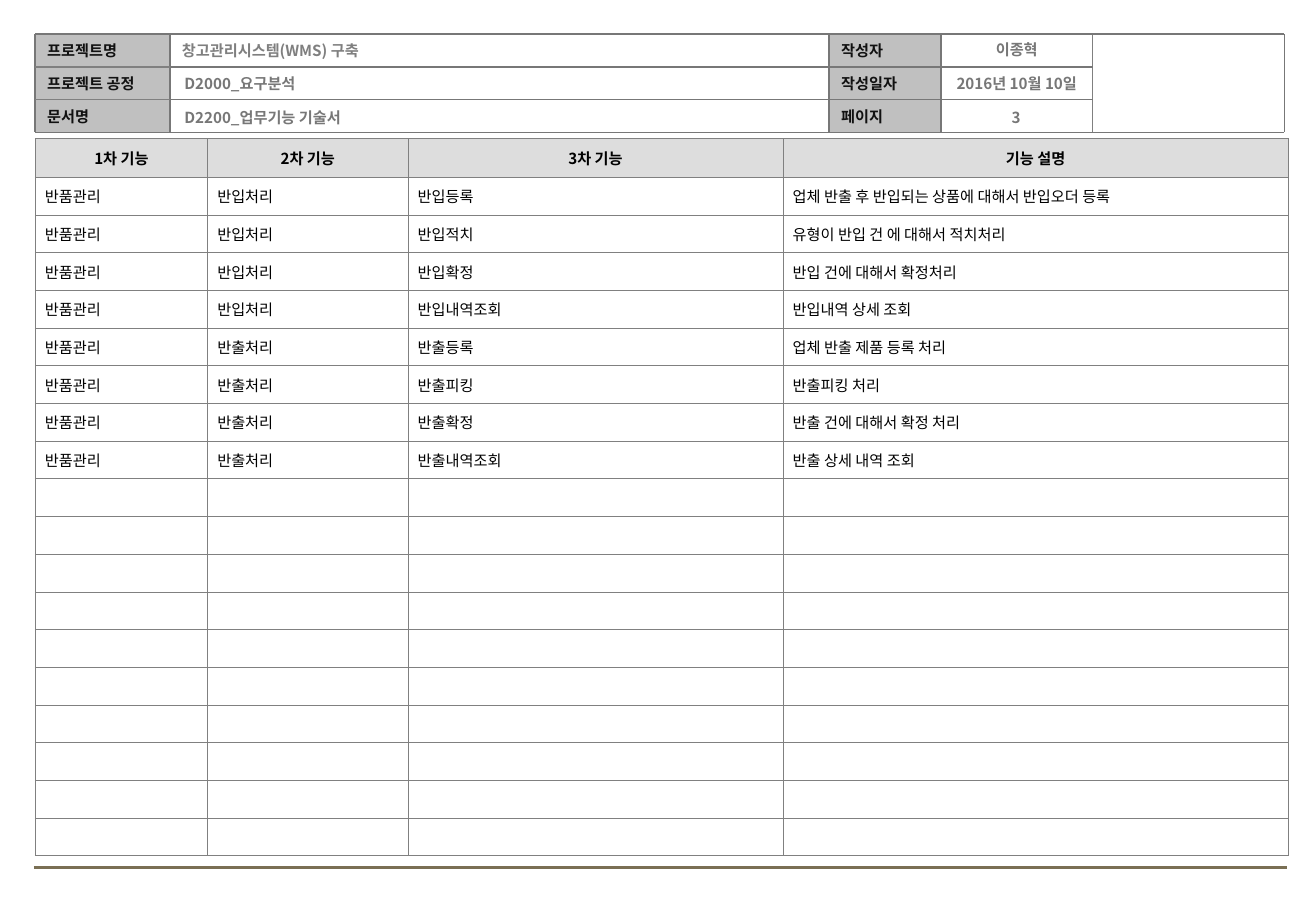
from dataclasses import dataclass

import pptx
import pptx.dml.color
import pptx.enum.shapes
import pptx.enum.text
import pptx.oxml.ns
import pptx.util
from lxml import etree

Inches = pptx.util.Inches
Pt = pptx.util.Pt
RGBColor = pptx.dml.color.RGBColor
Align = pptx.enum.text.PP_ALIGN
Anchor = pptx.enum.text.MSO_ANCHOR
qn = pptx.oxml.ns.qn

FONT = "Noto Sans CJK KR"
FONT_SIZE = 9
BLACK = RGBColor(0x00, 0x00, 0x00)
LABEL_TEXT = RGBColor(0x11, 0x11, 0x11)
LABEL_FILL = RGBColor(0xC0, 0xC0, 0xC0)
NAME_TEXT = RGBColor(0x7F, 0x7F, 0x7F)
RULE_GRAY = RGBColor(0x77, 0x77, 0x77)
BORDER_GRAY = RGBColor(0x80, 0x80, 0x80)
HEADER_FILL = RGBColor(0xDD, 0xDD, 0xDD)
FOOTER_BROWN = RGBColor(0x7A, 0x6F, 0x54)

# Edges of the title block
LEFT, NAME_LEFT, INFO_LEFT, INFO_VALUE_LEFT, LOGO_LEFT, RIGHT = 0.29, 1.4, 6.83, 7.75, 9, 10.58
BLOCK_TOP, BLOCK_ROW = 0.28, 0.27
BLOCK_EDGES = [BLOCK_TOP + BLOCK_ROW * i for i in range(4)]
BLOCK_LABELS = [("프로젝트명", "작성자"), ("프로젝트 공정", "작성일자"), ("문서명", "페이지")]

TABLE_TOP, TABLE_HEIGHT, HEADER_HEIGHT = 1.14, 5.91, 0.32
COLUMN_WIDTHS = [1.42, 1.65, 3.09, 4.16]
BODY_ROWS = 18
HEADINGS = ("1차 기능", "2차 기능", "3차 기능", "기능 설명")
FUNCTIONS = [
    ("반입처리", "반입등록", "업체 반출 후 반입되는 상품에 대해서 반입오더 등록"),
    ("반입처리", "반입적치", "유형이 반입 건 에 대해서 적치처리"),
    ("반입처리", "반입확정", "반입 건에 대해서 확정처리"),
    ("반입처리", "반입내역조회", "반입내역 상세 조회"),
    ("반출처리", "반출등록", "업체 반출 제품 등록 처리"),
    ("반출처리", "반출피킹", "반출피킹 처리"),
    ("반출처리", "반출확정", "반출 건에 대해서 확정 처리"),
    ("반출처리", "반출내역조회", "반출 상세 내역 조회"),
]


@dataclass(frozen=True)
class Rule:
    x1: float
    y1: float
    x2: float
    y2: float
    color: RGBColor = RULE_GRAY
    width: float = 1


@dataclass(frozen=True)
class Value:
    text: str
    left: float
    top: float
    width: float
    height: float = 0.25
    color: RGBColor = RULE_GRAY
    align: Align = Align.LEFT
    anchor: Anchor = Anchor.TOP


VALUES = [
    Value("창고관리시스템(WMS) 구축", NAME_LEFT, BLOCK_TOP, INFO_LEFT - NAME_LEFT, BLOCK_ROW,
          color=NAME_TEXT, anchor=Anchor.MIDDLE),
    Value("D2000_요구분석", 1.42, 0.56, 4.8),
    Value("D2200_업무기능 기술서", 1.42, 0.84, 4.8),
    Value("이종혁", 7.59, 0.28, 1.57, align=Align.CENTER),
    Value("2016년 10월 10일", 7.59, 0.56, 1.57, align=Align.CENTER),
    Value("3", 7.78, 0.84, 1.18, 0.27, align=Align.CENTER),
]


def write_text(frame: pptx.text.text.TextFrame, text: str, *, color: RGBColor = BLACK,
               bold: bool = False, align: Align = Align.LEFT) -> None:
    paragraph = frame.paragraphs[0]
    paragraph.alignment = align
    if not text:
        etree.SubElement(paragraph._p, qn("a:endParaRPr"), sz=str(FONT_SIZE * 100))
        return
    run = paragraph.add_run()
    run.text = text
    run.font.name = FONT
    run.font.size = Pt(FONT_SIZE)
    run.font.bold = bold
    run.font.color.rgb = color
    etree.SubElement(run.font._element, qn("a:ea"), typeface=FONT)


def draw_rule(slide: pptx.slide.Slide, rule: Rule) -> None:
    line = slide.shapes.add_connector(
        pptx.enum.shapes.MSO_CONNECTOR.STRAIGHT,
        Inches(rule.x1), Inches(rule.y1), Inches(rule.x2), Inches(rule.y2))
    line.line.color.rgb = rule.color
    line.line.width = Pt(rule.width)
    etree.SubElement(line._element.spPr, qn("a:effectLst"))


def draw_label(slide: pptx.slide.Slide, text: str, left: float, top: float, width: float) -> None:
    label = slide.shapes.add_shape(
        pptx.enum.shapes.MSO_SHAPE.RECTANGLE,
        Inches(left), Inches(top), Inches(width), Inches(BLOCK_ROW))
    label.shadow.inherit = False
    label.fill.solid()
    label.fill.fore_color.rgb = LABEL_FILL
    label.line.fill.background()
    label.text_frame.vertical_anchor = Anchor.MIDDLE
    write_text(label.text_frame, text, color=LABEL_TEXT, bold=True)


def draw_value(slide: pptx.slide.Slide, value: Value) -> None:
    box = slide.shapes.add_textbox(
        Inches(value.left), Inches(value.top), Inches(value.width), Inches(value.height))
    box.text_frame.word_wrap = True
    box.text_frame.vertical_anchor = value.anchor
    write_text(box.text_frame, value.text, color=value.color, bold=True, align=value.align)


def draw_title_block(slide: pptx.slide.Slide) -> None:
    for top, (document_label, info_label) in zip(BLOCK_EDGES, BLOCK_LABELS):
        draw_label(slide, document_label, LEFT, top, NAME_LEFT - LEFT)
        draw_label(slide, info_label, INFO_LEFT, top, INFO_VALUE_LEFT - INFO_LEFT)
    top, *inner_edges, bottom = BLOCK_EDGES
    for x in (NAME_LEFT, INFO_LEFT, INFO_VALUE_LEFT, LOGO_LEFT, LEFT, RIGHT):
        draw_rule(slide, Rule(x, top, x, bottom, BORDER_GRAY if x == LOGO_LEFT else RULE_GRAY))
    for y in inner_edges:
        draw_rule(slide, Rule(LEFT, y, NAME_LEFT, y, BORDER_GRAY))
        draw_rule(slide, Rule(NAME_LEFT, y, LOGO_LEFT, y))
    for y in (top, bottom):
        draw_rule(slide, Rule(LEFT, y, RIGHT, y))
    for value in VALUES:
        draw_value(slide, value)


def add_borders(cell: pptx.table._Cell) -> None:
    properties = cell._tc.get_or_add_tcPr()
    for side in ("lnL", "lnR", "lnT", "lnB"):
        border = etree.SubElement(properties, qn(f"a:{side}"), w=str(Pt(0.45)))
        fill = etree.SubElement(border, qn("a:solidFill"))
        etree.SubElement(fill, qn("a:srgbClr"), val=str(BORDER_GRAY))


def draw_function_table(slide: pptx.slide.Slide) -> None:
    blank_rows = [("",) * len(HEADINGS)] * (BODY_ROWS - len(FUNCTIONS))
    rows = [HEADINGS, *(("반품관리", *function) for function in FUNCTIONS), *blank_rows]
    table = slide.shapes.add_table(
        len(rows), len(HEADINGS), Inches(LEFT), Inches(TABLE_TOP),
        Inches(sum(COLUMN_WIDTHS)), Inches(TABLE_HEIGHT)).table
    table.first_row = False
    table.horz_banding = False
    for column, width in zip(table.columns, COLUMN_WIDTHS):
        column.width = Inches(width)
    body_height = (TABLE_HEIGHT - HEADER_HEIGHT) / BODY_ROWS
    for r, texts in enumerate(rows):
        is_header = r == 0
        table.rows[r].height = Inches(HEADER_HEIGHT if is_header else body_height)
        for c, text in enumerate(texts):
            cell = table.cell(r, c)
            cell.margin_left = cell.margin_right = Inches(0.08)
            cell.vertical_anchor = Anchor.MIDDLE
            add_borders(cell)
            if is_header:
                cell.fill.solid()
                cell.fill.fore_color.rgb = HEADER_FILL
            else:
                cell.fill.background()
            write_text(cell.text_frame, text, bold=is_header,
                       align=Align.CENTER if is_header else Align.LEFT)


def main() -> None:
    presentation = pptx.Presentation()
    presentation.slide_width = Inches(10.84)
    presentation.slide_height = Inches(7.5)
    slide = presentation.slides.add_slide(presentation.slide_layouts[6])
    draw_rule(slide, Rule(0.28, 7.14, 10.6, 7.14, FOOTER_BROWN, 1.75))
    draw_title_block(slide)
    draw_function_table(slide)
    presentation.save("out.pptx")


if __name__ == "__main__":
    main()
